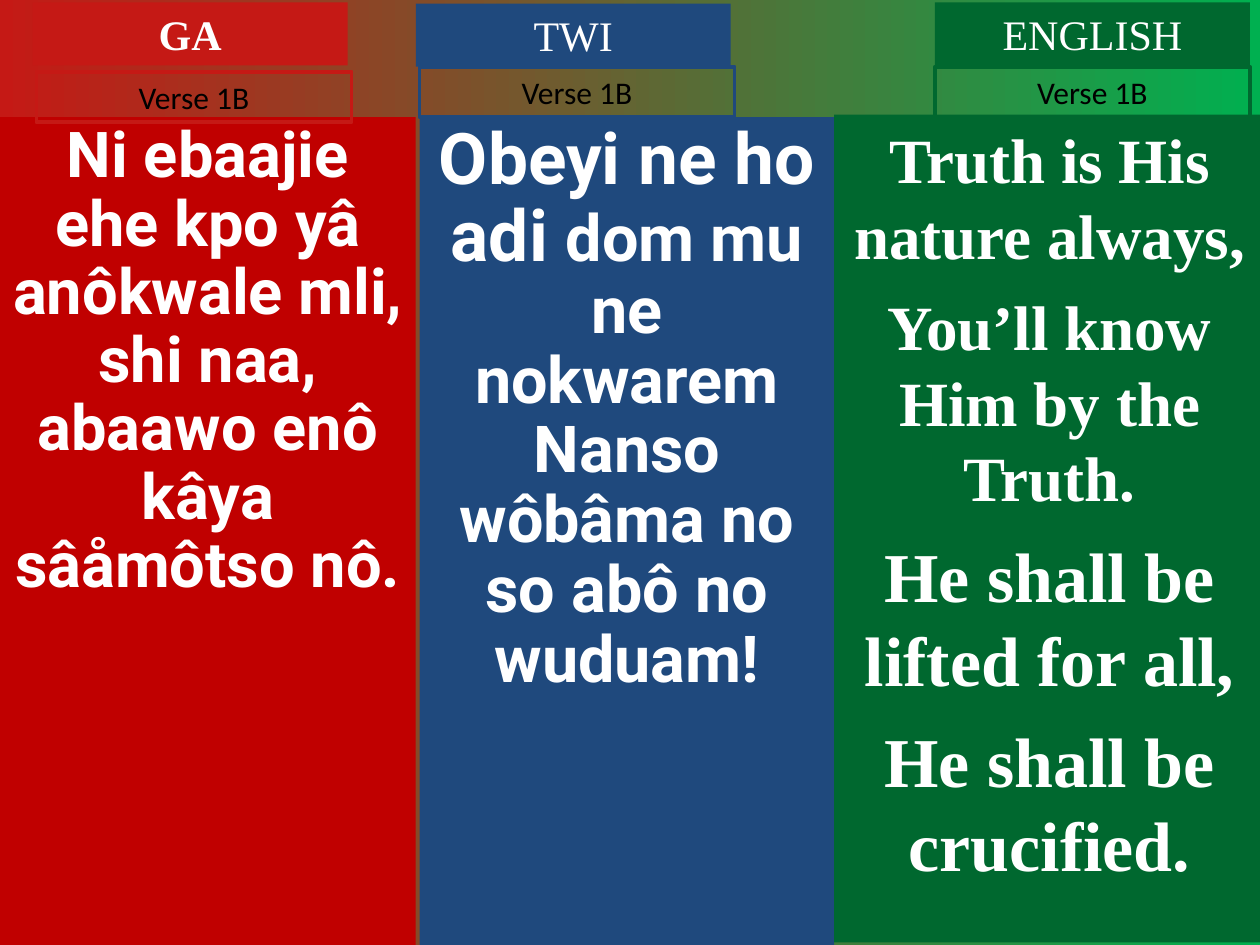
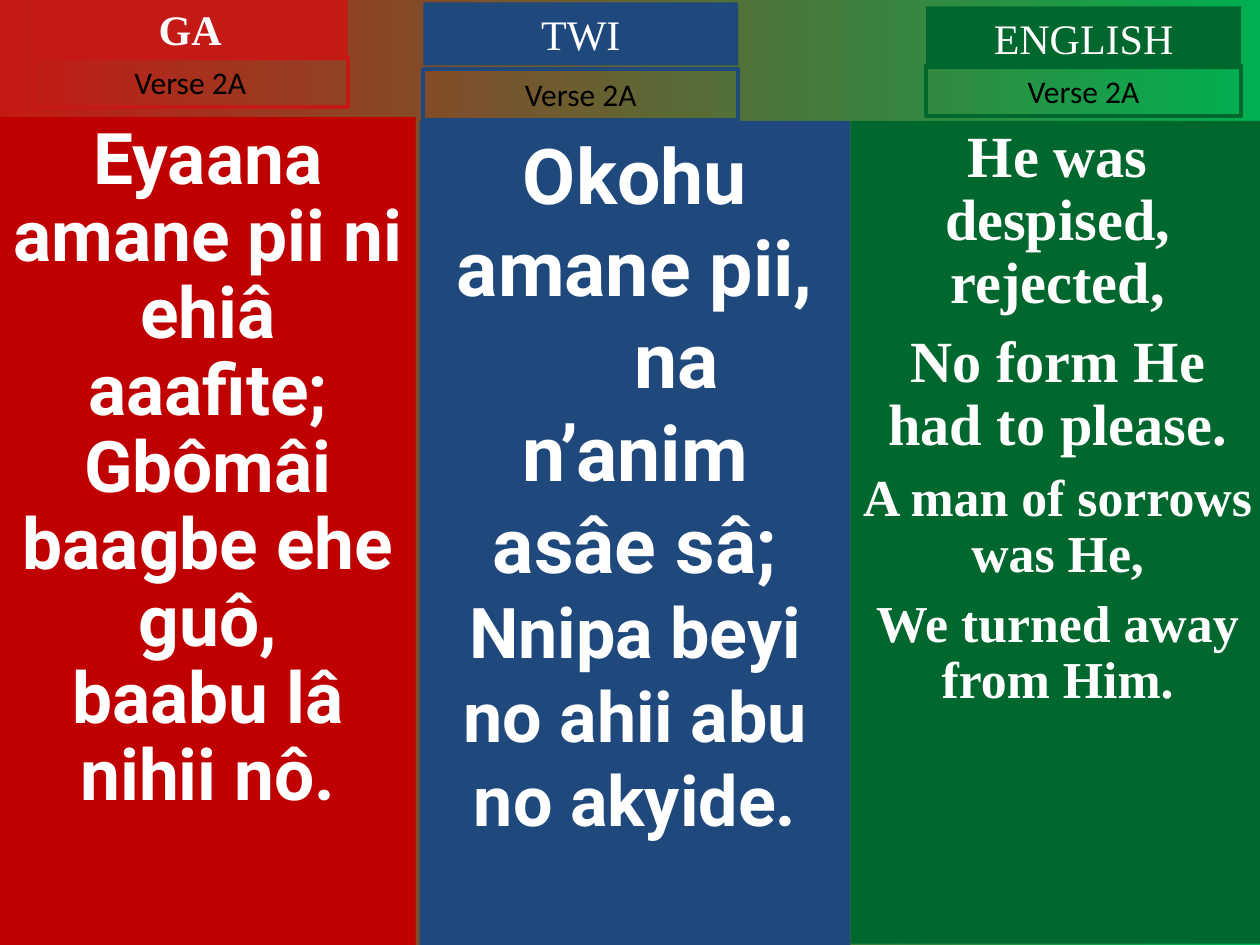
from dataclasses import dataclass
from typing import Optional

from pptx import Presentation
from pptx.dml.color import RGBColor
from pptx.enum.shapes import MSO_SHAPE
from pptx.enum.text import MSO_ANCHOR, MSO_AUTO_SIZE, PP_ALIGN
from pptx.util import Emu, Pt

EMU_PER_PX = 9144
LABEL_WIDTH, HEADING_HEIGHT, VERSE_HEIGHT = 250, 50, 40
LYRIC_COLOR, VERSE_COLOR = "FFFFFF", "000000"
BACKDROP = ("C51915", "00B050")


@dataclass(frozen=True)
class Language:
    heading: str
    panel_color: str
    label_color: str
    lyric_font: str
    bold_heading: bool = False


@dataclass(frozen=True)
class Box:
    left: int
    top: int
    width: int
    height: int


@dataclass(frozen=True)
class Line:
    pieces: tuple[tuple[str, float], ...]
    space_before: float = 0
    indent: int = 0


@dataclass(frozen=True)
class Column:
    language: Language
    panel: Box
    label_left: int
    heading_top: int
    verse_left: int
    verse_top: int
    lines: tuple[Line, ...]
    line_spacing: Optional[float] = None


@dataclass(frozen=True)
class Verse:
    title: str
    columns: tuple[Column, ...]


GA = Language("GA", "C00000", "C51915", "Roboto", True)
TWI = Language("TWI", "1F497D", "1F497D", "Roboto")
ENGLISH = Language("ENGLISH", "00682F", "00682F", "Times New Roman")


def line(text: str, size: float, space_before: float = 0, indent: int = 0) -> Line:
    return Line(((text, size),), space_before, indent)


VERSES = (
    Verse("Verse 1B", (
        Column(GA, Box(0, 93, 330, 657), 26, 2, 29, 57, (
            line("Ni ebaajie ehe kpo yâ anôkwale mli,", 36.1),
            line("shi naa, abaawo enô", 36.1),
            line("kâya sâåmôtso nô.", 36.1),
        ), 0.9),
        Column(TWI, Box(333, 93, 329, 657), 330, 3, 333, 53, (
            Line((("Obeyi ne ho adi ", 40.7), ("dom mu ne nokwarem", 37))),
            line("Nanso wôbâma no so abô no wuduam!", 37),
        ), 0.9),
        Column(ENGLISH, Box(662, 91, 342, 657), 742, 2, 742, 53, (
            line("Truth is His nature always,", 36),
            line("You’ll know Him by the Truth.", 36, 9),
            line("He shall be lifted for all,", 40, 10),
            line("He shall be crucified.", 40, 10),
        )),
    )),
    Verse("Verse 2A", (
        Column(GA, Box(0, 93, 330, 657), 26, -2, 26, 45, (
            line("Eyaana amane pii ni ehiâ aaafite;", 40.7),
            line("Gbômâi baagbe ehe guô,", 40.7),
            line("baabu lâ nihii nô.", 40.7),
        ), 0.9),
        Column(TWI, Box(333, 96, 342, 654), 336, 2, 336, 55, (
            line("Okohu amane pii,", 44),
            line("na n’anim asâe sâ;", 44, indent=66),
            line("Nnipa beyi no ahii abu no akyide.", 40),
        )),
        Column(ENGLISH, Box(675, 96, 329, 653), 735, 5, 735, 52, (
            line("He was despised, rejected,", 33.3),
            line("No form He had to please.", 33.3, 9),
            line("A man of sorrows was He,", 29.6, 8),
            line("We turned away from Him.", 29.6, 8),
        ), 0.9),
    )),
)


def px(length: int) -> Emu:
    return Emu(length * EMU_PER_PX)


def rgb(color: str) -> RGBColor:
    return RGBColor.from_string(color)


def add_box(slide, box: Box, fill: Optional[str] = None, outline: Optional[str] = None):
    rectangle = slide.shapes.add_shape(
        MSO_SHAPE.RECTANGLE, px(box.left), px(box.top), px(box.width), px(box.height))
    rectangle.shadow.inherit = False
    if fill:
        rectangle.fill.solid()
        rectangle.fill.fore_color.rgb = rgb(fill)
    else:
        rectangle.fill.background()
    if outline:
        rectangle.line.color.rgb = rgb(outline)
        rectangle.line.width = Pt(2.25)
    else:
        rectangle.line.fill.background()
    rectangle.text_frame.word_wrap = True
    rectangle.text_frame.vertical_anchor = MSO_ANCHOR.TOP
    return rectangle.text_frame


def style(font, name: str, size: float, color: str, bold: bool) -> None:
    font.name = name
    font.size = Pt(size)
    font.color.rgb = rgb(color)
    font.bold = bold


def write_label(frame, text: str, font: str, size: float, color: str, bold: bool = False) -> None:
    frame.text = text
    frame.auto_size = MSO_AUTO_SIZE.SHAPE_TO_FIT_TEXT
    paragraph = frame.paragraphs[0]
    paragraph.alignment = PP_ALIGN.CENTER
    style(paragraph.runs[0].font, font, size, color, bold)


def draw_panel(slide, column: Column) -> None:
    frame = add_box(slide, column.panel, fill=column.language.panel_color)
    for index, lyric in enumerate(column.lines):
        paragraph = frame.add_paragraph() if index else frame.paragraphs[0]
        paragraph.alignment = PP_ALIGN.CENTER
        if column.line_spacing:
            paragraph.line_spacing = column.line_spacing
        if lyric.space_before:
            paragraph.space_before = Pt(lyric.space_before)
        if lyric.indent:
            paragraph._p.get_or_add_pPr().set("indent", str(px(lyric.indent)))
        for text, size in lyric.pieces:
            run = paragraph.add_run()
            run.text = text
            style(run.font, column.language.lyric_font, size, LYRIC_COLOR, True)


def draw_labels(slide, column: Column, title: str) -> None:
    language = column.language
    heading = add_box(
        slide, Box(column.label_left, column.heading_top, LABEL_WIDTH, HEADING_HEIGHT),
        fill=language.label_color)
    write_label(heading, language.heading, "Times New Roman", 24, LYRIC_COLOR,
                language.bold_heading)
    verse = add_box(
        slide, Box(column.verse_left, column.verse_top, LABEL_WIDTH, VERSE_HEIGHT),
        outline=language.label_color)
    write_label(verse, title, "Calibri", 18, VERSE_COLOR)


def draw_backdrop(slide) -> None:
    fill = slide.background.fill
    fill.gradient()
    fill.gradient_angle = 0
    for position, (stop, color) in enumerate(zip(fill.gradient_stops, BACKDROP)):
        stop.position = position
        stop.color.rgb = rgb(color)


def main() -> None:
    deck = Presentation()
    deck.slide_width, deck.slide_height = px(1000), px(750)
    for verse in VERSES:
        slide = deck.slides.add_slide(deck.slide_layouts[6])
        draw_backdrop(slide)
        for column in verse.columns:
            draw_panel(slide, column)
        for column in verse.columns:
            draw_labels(slide, column, verse.title)
    deck.save("out.pptx")


if __name__ == "__main__":
    main()
